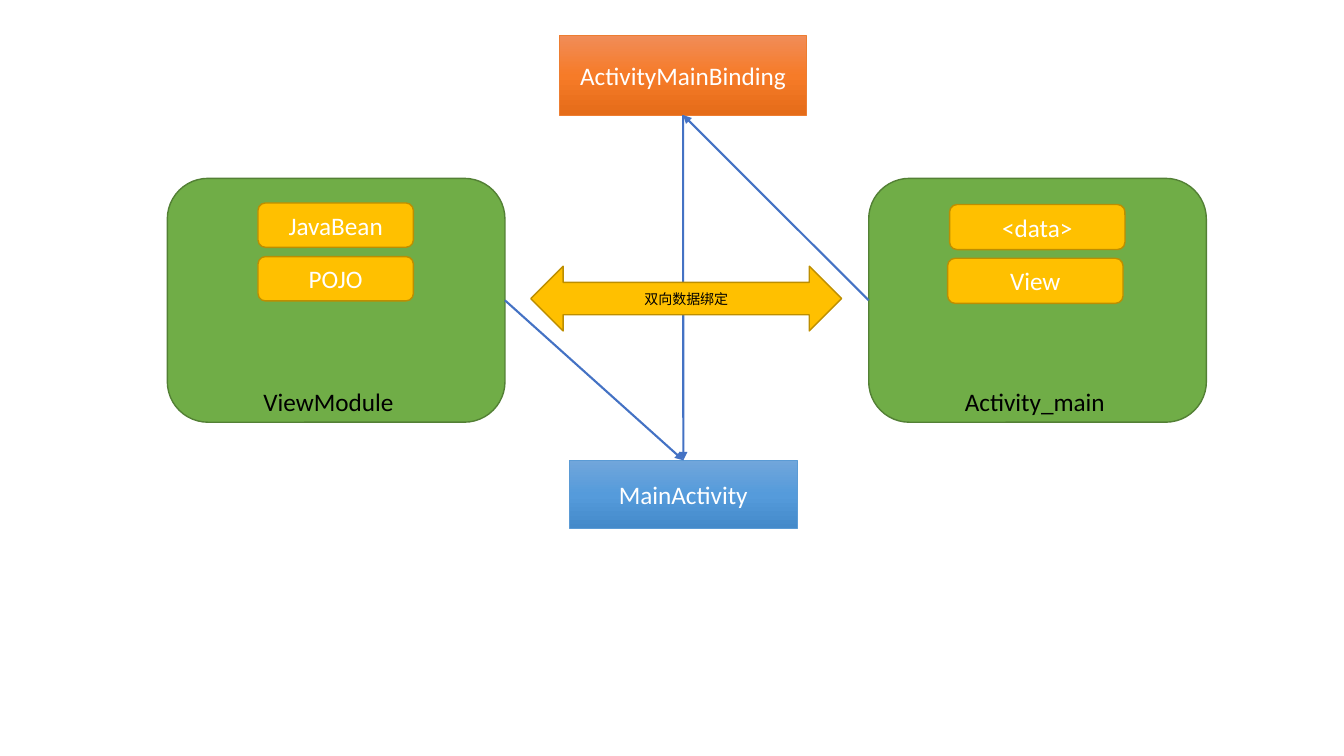
"""Draw the two-way data binding diagram on one slide."""
import dataclasses

import lxml.etree
import pptx
import pptx.dml.color
import pptx.enum.shapes
import pptx.enum.text
import pptx.oxml.ns
import pptx.util

Pt = pptx.util.Pt
Kind = pptx.enum.shapes.MSO_SHAPE
Align = pptx.enum.text.PP_ALIGN
LEFT, TOP, BOTTOM, RIGHT = 1, 0, 2, 3


@dataclasses.dataclass(frozen=True)
class Theme:
    """Hold the colours, the font and the type sizes."""
    font: str = "Calibri"
    large: float = 18
    small: float = 10
    light: str = "FFFFFF"
    dark: str = "000000"
    link: str = "4472C4"
    green: tuple = ("70AD47", "538035", 1)
    gold: tuple = ("FFC000", "BD8E00", 1)
    orange: tuple = (("F18C57", "F67B28", "E56C19"), "ED7D31", 0.5)
    blue: tuple = (("71A6DB", "559BDB", "448ACA"), "5B9BD5", 0.5)


THEME = Theme()


def rgb(code):
    """Turn a hex code into a colour."""
    return pptx.dml.color.RGBColor.from_string(code)


def add_node(parent, name, **values):
    """Append a drawing element to its parent."""
    return lxml.etree.SubElement(parent, pptx.oxml.ns.qn(name), values)


def set_text(shape, text, size, color, align):
    """Write one line of text and format it."""
    frame = shape.text_frame
    frame.text = text
    frame.word_wrap = True
    line = frame.paragraphs[0]
    line.alignment = align
    for run in line.runs:
        run.font.name = THEME.font
        run.font.size = Pt(size)
        run.font.color.rgb = rgb(color)


def blend(shape, colors):
    """Fill a shape from top to bottom with evenly spaced stops."""
    shape.fill.gradient()
    shape.fill.gradient_angle = 270
    stops = shape._element.spPr.find(".//" + pptx.oxml.ns.qn("a:gsLst"))
    stops.clear()
    for i, code in enumerate(colors):
        place = 100000 * i // (len(colors) - 1)
        stop = add_node(stops, "a:gs", pos=str(place))
        add_node(stop, "a:srgbClr", val=code)


def add_box(slide, kind, place, style, text="", size=THEME.large, color=THEME.light):
    """Add a styled shape with centred text."""
    fill, edge, width = style
    shape = slide.shapes.add_shape(kind, *map(Pt, place))
    shape.shadow.inherit = False
    if isinstance(fill, tuple):
        blend(shape, fill)
    else:
        shape.fill.solid()
        shape.fill.fore_color.rgb = rgb(fill)
    shape.line.color.rgb = rgb(edge)
    shape.line.width = Pt(width)
    if text:
        shape.text_frame.vertical_anchor = pptx.enum.text.MSO_ANCHOR.MIDDLE
        set_text(shape, text, size, color, Align.CENTER)
    return shape


def add_label(slide, place, text):
    """Add a plain dark label."""
    label = slide.shapes.add_textbox(*map(Pt, place))
    set_text(label, text, THEME.large, THEME.dark, Align.LEFT)


def add_panel(slide, left, label, items):
    """Add a green panel with its items and its label."""
    panel = add_box(slide, Kind.ROUNDED_RECTANGLE, (left, 127.4, 241.2, 174.2), THEME.green)
    for text, place in items:
        add_box(slide, Kind.ROUNDED_RECTANGLE, place, THEME.gold, text)
    add_label(slide, (left + 61.6, 272.2, 117.4, 28.8), label)
    return panel


def add_link(slide, start, start_side, end, end_side):
    """Join two shapes with an arrow."""
    straight = pptx.enum.shapes.MSO_CONNECTOR.STRAIGHT
    link = slide.shapes.add_connector(straight, 0, 0, 0, 0)
    link.begin_connect(start, start_side)
    link.end_connect(end, end_side)
    link.line.color.rgb = rgb(THEME.link)
    link.line.width = Pt(1.5)
    add_node(link.line._get_or_add_ln(), "a:tailEnd", type="triangle")
    add_node(link._element.spPr, "a:effectLst")


def main():
    """Build and save the slide."""
    deck = pptx.Presentation()
    deck.slide_width, deck.slide_height = Pt(960), Pt(540)
    slide = deck.slides.add_slide(deck.slide_layouts[6])

    model = add_panel(slide, 119.5, "ViewModule", [
        ("JavaBean", (184.3, 145, 111, 31.7)),
        ("POJO", (184.3, 183.3, 111, 31.7)),
    ])
    view = add_panel(slide, 620.5, "Activity_main", [
        ("<data>", (678.3, 146.1, 125.3, 32.2)),
        ("View", (676.9, 184.5, 125.3, 32.2)),
    ])
    binding = add_box(slide, Kind.RECTANGLE, (399.6, 25.6, 176.6, 56.6),
                      THEME.orange, "ActivityMainBinding")
    screen = add_box(slide, Kind.RECTANGLE, (406.6, 328.8, 163, 48.6),
                     THEME.blue, "MainActivity")

    add_link(slide, view, LEFT, binding, BOTTOM)
    add_link(slide, binding, BOTTOM, screen, TOP)
    add_link(slide, model, RIGHT, screen, TOP)
    add_box(slide, Kind.LEFT_RIGHT_ARROW, (379.2, 190.2, 222, 46.2), THEME.gold,
            "双向数据绑定", THEME.small, THEME.dark)
    deck.save("out.pptx")


main()
